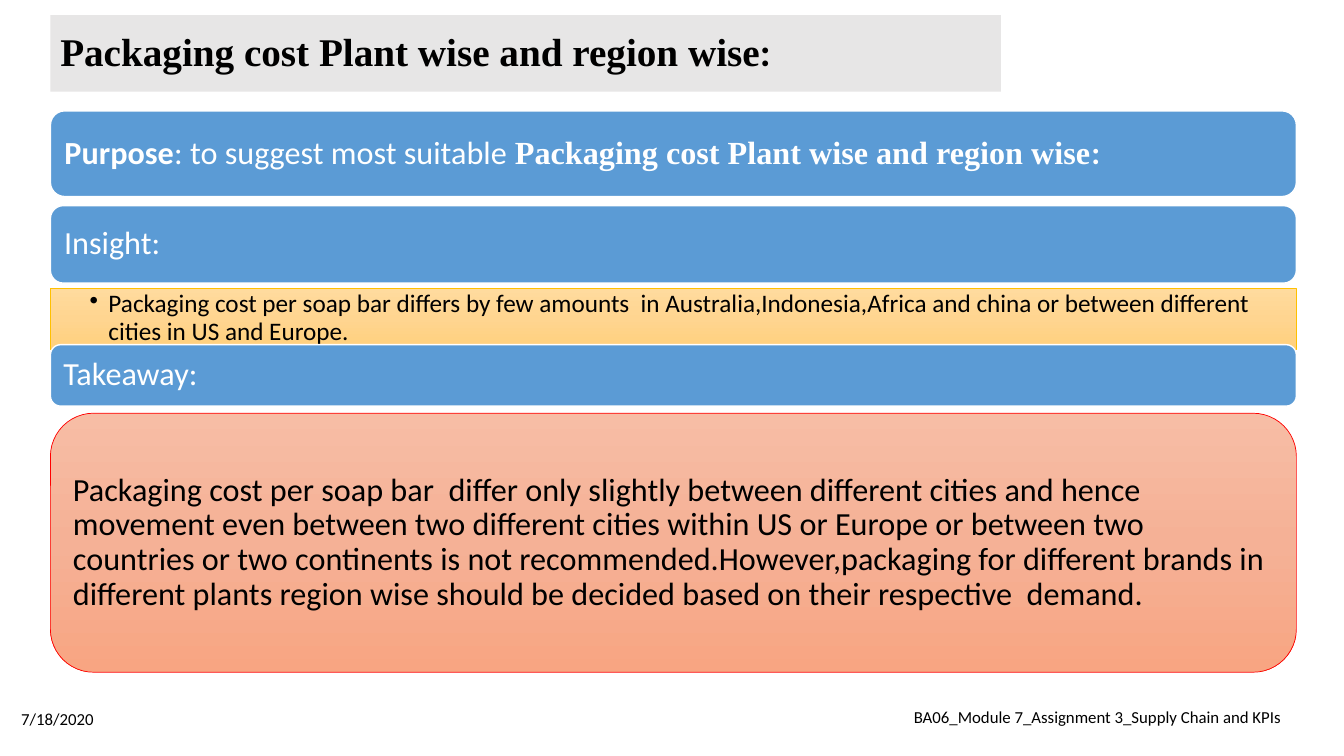
import dataclasses

import lxml.etree
import pptx
import pptx.dml.color
import pptx.enum.shapes
import pptx.enum.text
import pptx.oxml.ns
import pptx.util

Pt = pptx.util.Pt
Shape = pptx.enum.shapes.MSO_SHAPE
Align = pptx.enum.text.PP_ALIGN
Anchor = pptx.enum.text.MSO_ANCHOR
qn = pptx.oxml.ns.qn


@dataclasses.dataclass(frozen=True)
class Theme:
    sans: str = "Calibri"
    serif: str = "Times New Roman"
    black: str = "000000"
    white: str = "FFFFFF"
    grey: str = "E7E6E6"
    blue: str = "5B9BD5"
    gold: str = "FFC000"
    red: str = "FF0000"
    sand: tuple = ("FFDB9E", "FFD590", "FFD07C")
    coral: tuple = ("F7BDA5", "F5B196", "F8A582")
    head: int = 28
    body: int = 23
    point: int = 18
    foot: int = 12


T = Theme()


def color(code):
    return pptx.dml.color.RGBColor.from_string(code)


def shade(fill, codes):
    """Fill from top to bottom through evenly spaced colours."""
    fill.gradient()
    fill.gradient_angle = 270
    stops = fill._xPr.find(qn("a:gradFill")).find(qn("a:gsLst"))
    for stop in list(stops):
        stops.remove(stop)
    for i, code in enumerate(codes):
        stop = lxml.etree.SubElement(stops, qn("a:gs"), pos=str(100000 * i // (len(codes) - 1)))
        lxml.etree.SubElement(stop, qn("a:srgbClr"), val=code)


def panel(slide, box, kind, fill, line=None, width=1):
    shape = slide.shapes.add_shape(kind, *map(Pt, box))
    shape.shadow.inherit = False
    if isinstance(fill, tuple):
        shade(shape.fill, fill)
    else:
        shape.fill.solid()
        shape.fill.fore_color.rgb = color(fill)
    if line:
        shape.line.color.rgb = color(line)
        shape.line.width = Pt(width)
    else:
        shape.line.fill.background()
    return shape


def write(shape, runs, size, ink, pad=(7.2, 7.2, 7.2, 7.2), anchor=Anchor.MIDDLE,
          align=Align.LEFT, lines=0.9, bullet=None):
    """Fill a shape with one paragraph of (text, font, bold) runs."""
    frame = shape.text_frame
    frame.word_wrap = True
    frame.vertical_anchor = anchor
    frame.margin_left, frame.margin_top, frame.margin_right, frame.margin_bottom = map(Pt, pad)
    para = frame.paragraphs[0]
    para.alignment = align
    para.line_spacing = lines
    if bullet:
        props = para._p.get_or_add_pPr()
        props.set("marL", str(Pt(13.5)))
        props.set("indent", str(-Pt(13.5)))
        lxml.etree.SubElement(props, qn("a:buChar"), char=bullet)
    para.font.size = Pt(size)
    para.font.color.rgb = color(ink)
    fonts = {font for _, font, _ in runs}
    bolds = {bold for _, _, bold in runs}
    if len(fonts) == 1:
        para.font.name = runs[0][1]
    if len(bolds) == 1:
        para.font.bold = runs[0][2]
    for text, font, bold in runs:
        run = para.add_run()
        run.text = text
        if len(fonts) > 1:
            run.font.name = font
        if len(bolds) > 1:
            run.font.bold = bold


def plain(text):
    return [(text, T.sans, False)]


def title(slide, box, runs):
    shape = panel(slide, box, Shape.RECTANGLE, T.grey)
    write(shape, runs, T.head, T.black, pad=(7.2, 3.6, 7.2, 3.6))


def bar(slide, box, runs):
    shape = panel(slide, box, Shape.ROUNDED_RECTANGLE, T.blue, T.white)
    write(shape, runs, T.body, T.white)


def point(slide, box, text):
    shape = panel(slide, box, Shape.RECTANGLE, T.sand, T.gold, 0.5)
    write(shape, plain(text), T.point, T.black, pad=(28, 2, 10, 2),
          anchor=Anchor.TOP, bullet="•")


def advice(slide, box, text):
    shape = panel(slide, box, Shape.ROUNDED_RECTANGLE, T.coral, T.red, 0.5)
    write(shape, plain(text), T.body, T.black)


def note(slide, box, text, align):
    shape = slide.shapes.add_textbox(*map(Pt, box))
    write(shape, plain(text), T.foot, T.black, pad=(7.2, 3.6, 7.2, 3.6), align=align, lines=1)


def main():
    deck = pptx.Presentation()
    deck.slide_width, deck.slide_height = Pt(960), Pt(540)
    slide = deck.slides.add_slide(deck.slide_layouts[6])
    left, width = 36, 890
    topic = "Packaging cost Plant wise and region wise"
    name = [(topic, T.serif, True), (":", T.sans, True)]

    title(slide, (left, 10.8, 679, 54.7), name)
    bar(slide, (left, 79.2, width, 61.2),
        [("Purpose", T.sans, True), (": to suggest most suitable ", T.sans, False)] + name)
    bar(slide, (left, 146.9, width, 55.4), plain("Insight:"))
    point(slide, (left, 205.9, width, 43.9),
          "Packaging cost per soap bar differs by few amounts  in Australia,Indonesia,Africa "
          "and china or between different cities in US and Europe.")
    bar(slide, (left, 246.2, width, 43.9), plain("Takeaway:"))
    advice(slide, (left, 295.2, width, 185),
           "Packaging cost per soap bar  differ only slightly between different cities and hence "
           "movement even between two different cities within US or Europe or between two "
           "countries or two continents is not recommended.However,packaging for different "
           "brands in different plants region wise should be decided based on their "
           "respective  demand.")
    note(slide, (8, 499, 216, 28.8), "7/18/2020", Align.LEFT)
    note(slide, (622, 497.5, 324, 28.8),
         "BA06_Module 7_Assignment 3_Supply Chain and KPIs", Align.CENTER)
    deck.save("out.pptx")


if __name__ == "__main__":
    main()
